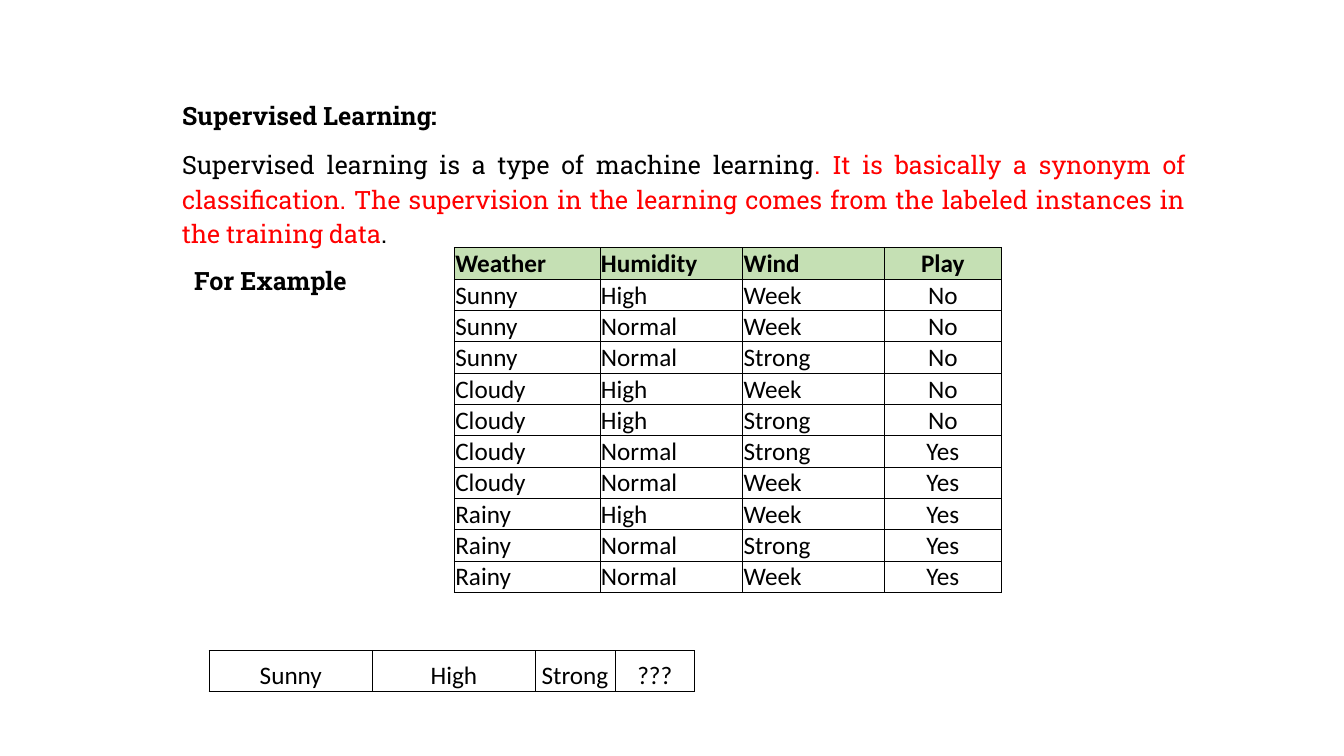
import pptx
import pptx.dml.color
import pptx.enum.text
import pptx.oxml
import pptx.oxml.ns
import pptx.util

Pt = pptx.util.Pt
Align = pptx.enum.text.PP_ALIGN
BLACK = pptx.dml.color.RGBColor(0x00, 0x00, 0x00)
RED = pptx.dml.color.RGBColor(0xFF, 0x00, 0x00)
GREEN = pptx.dml.color.RGBColor(0xC5, 0xE0, 0xB4)

DEFINITION = [
    ("Supervised learning is a type of machine learning", BLACK),
    (". It is basically a synonym of classiﬁcation. The supervision in the learning "
     "comes from the labeled instances in the training data", RED),
    (".", BLACK),
]
TRAINING_DATA = [
    ("Weather", "Humidity", "Wind", "Play"),
    ("Sunny", "High", "Week", "No"),
    ("Sunny", "Normal", "Week", "No"),
    ("Sunny", "Normal", "Strong", "No"),
    ("Cloudy", "High", "Week", "No"),
    ("Cloudy", "High", "Strong", "No"),
    ("Cloudy", "Normal", "Strong", "Yes"),
    ("Cloudy", "Normal", "Week", "Yes"),
    ("Rainy", "High", "Week", "Yes"),
    ("Rainy", "Normal", "Strong", "Yes"),
    ("Rainy", "Normal", "Week", "Yes"),
]
NEW_INSTANCE = [("Sunny", "High", "Strong", "???")]


class SlideBuilder:
    text_font = "Roboto Slab"
    table_font = "Calibri"
    size = 18

    def __init__(self, slide):
        self.slide = slide

    def format_run(self, run, name, color=BLACK, bold=False):
        run.font.name = name
        run.font.size = Pt(self.size)
        run.font.bold = bold
        run.font.color.rgb = color

    def text_box(self, left, top, width, height, paragraphs, wrap=True):
        shape = self.slide.shapes.add_textbox(Pt(left), Pt(top), Pt(width), Pt(height))
        text_frame = shape.text_frame
        text_frame.word_wrap = wrap
        text_frame.auto_size = pptx.enum.text.MSO_AUTO_SIZE.SHAPE_TO_FIT_TEXT
        for index, (pieces, alignment, bold) in enumerate(paragraphs):
            paragraph = text_frame.add_paragraph() if index else text_frame.paragraphs[0]
            paragraph.alignment = alignment
            paragraph.line_spacing = 1.15
            paragraph.space_after = Pt(10)
            for text, color in pieces:
                run = paragraph.add_run()
                run.text = text
                self.format_run(run, self.text_font, color, bold)

    def border(self, cell):
        properties = cell._tc.get_or_add_tcPr()
        for side in ("lnL", "lnR", "lnT", "lnB"):
            properties.append(pptx.oxml.parse_xml(
                f'<a:{side} {pptx.oxml.ns.nsdecls("a")} w="{Pt(0.5)}"><a:solidFill>'
                f'<a:srgbClr val="{BLACK}"/></a:solidFill></a:{side}>'))

    def cell(self, cell, text, centered, header):
        cell.margin_left = cell.margin_right = cell.margin_top = Pt(0.75)
        cell.margin_bottom = 0
        cell.vertical_anchor = pptx.enum.text.MSO_ANCHOR.BOTTOM
        self.border(cell)
        if header:
            cell.fill.solid()
            cell.fill.fore_color.rgb = GREEN
        else:
            cell.fill.background()
        cell.text_frame.text = text
        paragraph = cell.text_frame.paragraphs[0]
        paragraph.alignment = Align.CENTER if centered else Align.LEFT
        self.format_run(paragraph.runs[0], self.table_font, bold=header)

    def table(self, left, top, widths, row_height, rows, centered, header=False):
        shape = self.slide.shapes.add_table(
            len(rows), len(widths), Pt(left), Pt(top),
            Pt(sum(widths)), Pt(row_height * len(rows)))
        table = shape.table
        table.first_row = header
        table.horz_banding = False
        for column, width in zip(table.columns, widths):
            column.width = Pt(width)
        for row_index, values in enumerate(rows):
            table.rows[row_index].height = Pt(row_height)
            for column_index, text in enumerate(values):
                self.cell(table.cell(row_index, column_index), text,
                          column_index in centered, header and row_index == 0)


def main():
    presentation = pptx.Presentation()
    presentation.slide_width = Pt(960)
    presentation.slide_height = Pt(540)
    slide = presentation.slides.add_slide(presentation.slide_layouts[6])
    builder = SlideBuilder(slide)
    builder.text_box(123, 65, 731, 117.5, [
        ([("Supervised Learning:", BLACK)], Align.LEFT, True),
        (DEFINITION, Align.JUSTIFY, False),
    ])
    builder.text_box(131.5, 182.5, 134, 31, [
        ([("For Example", BLACK)], Align.LEFT, True),
    ], wrap=False)
    builder.table(324.5, 177, (104, 102, 101, 84), 22.35, TRAINING_DATA, {3}, header=True)
    builder.table(149.25, 464.5, (117, 116, 57, 57), 29.5, NEW_INSTANCE, {0, 1, 2, 3})
    presentation.save("out.pptx")


if __name__ == "__main__":
    main()
